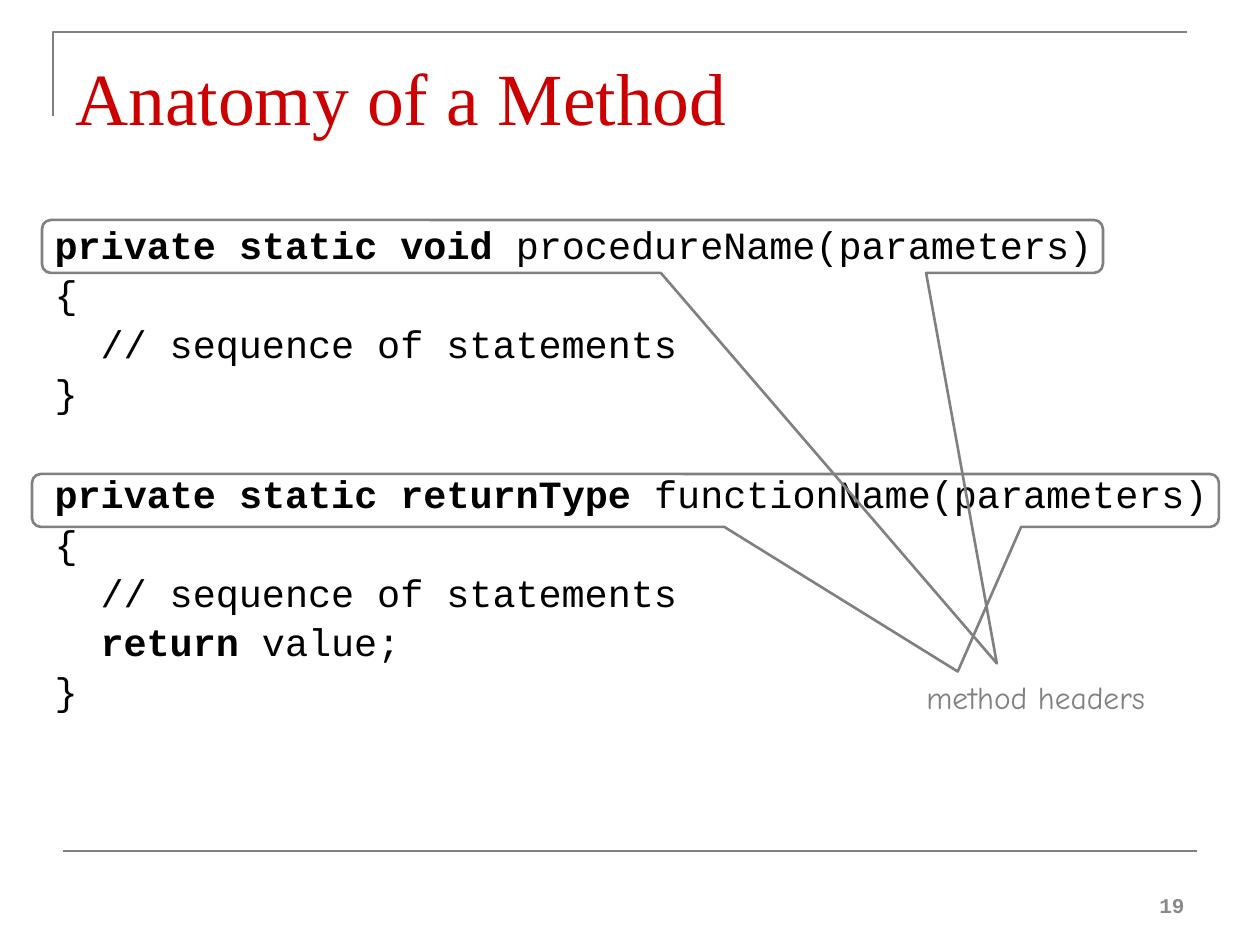
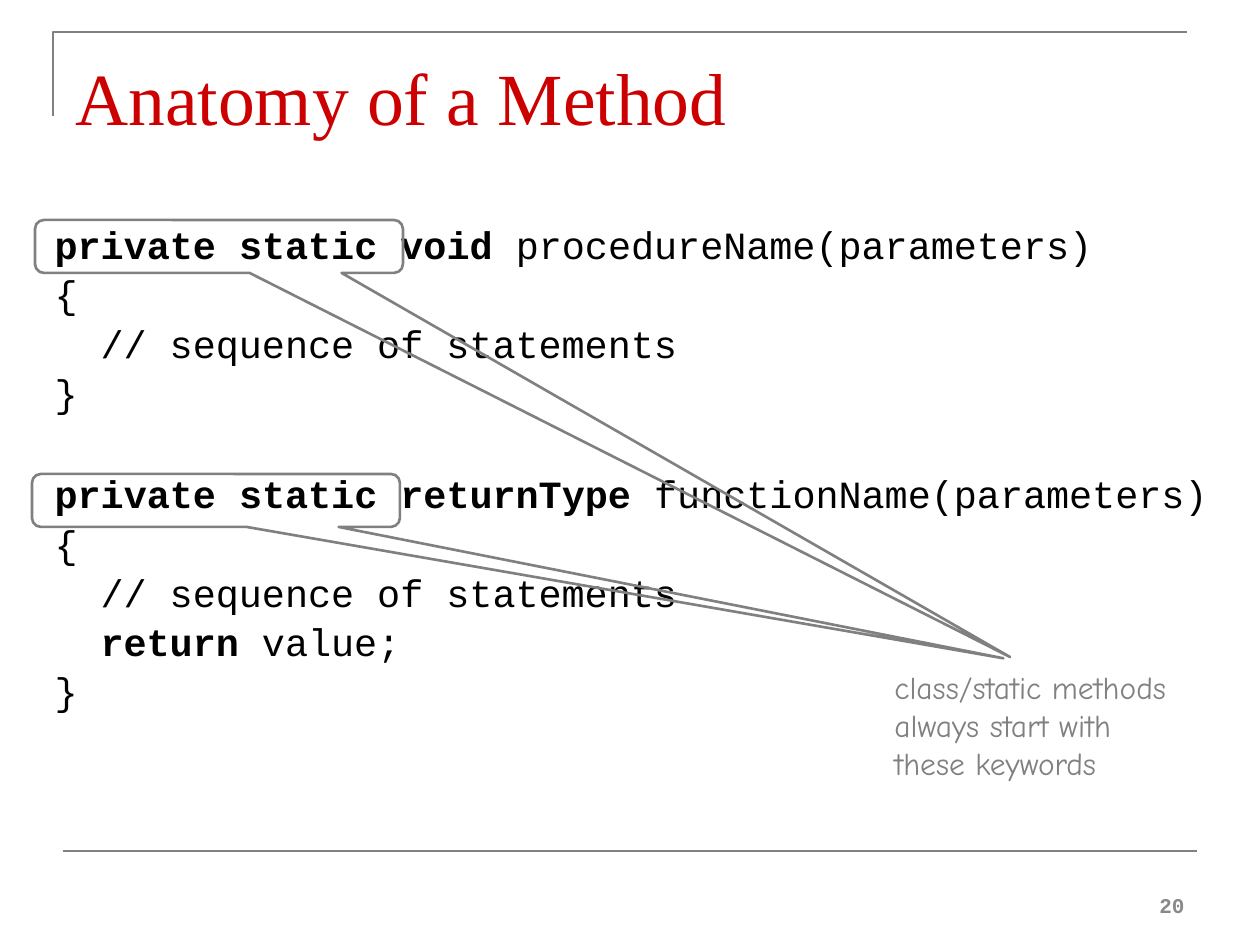
import pptx
import pptx.util
import pptx.dml.color
import pptx.enum.shapes
import pptx.enum.text
import pptx.oxml
import pptx.oxml.ns

PIXEL = 914400 // 126
COLORS = {"title": "CC0000", "code": "000000", "frame": "808080", "number": "898989"}
STYLES = {
    "title": {"name": "Times New Roman", "size": 42, "bold": False},
    "code": {"name": "Courier New", "size": 22, "bold": False},
    "frame": {"name": "Comic Neue", "size": 18, "bold": False},
    "number": {"name": "Courier New", "size": 12, "bold": True},
}
ANCHOR = pptx.enum.text.MSO_ANCHOR
ALIGN = pptx.enum.text.PP_ALIGN
FIT = pptx.enum.text.MSO_AUTO_SIZE

# Code lines: indent level, then (text, bold) pieces
COMMENT = (1, [("// sequence of statements", False)])
OPEN, CLOSE = (0, [("{", False)]), (0, [("}", False)])
PROCEDURE = [
    (0, [("private static void ", True), ("procedureName(parameters)", False)]),
    OPEN, COMMENT, CLOSE,
]
FUNCTION = [
    (0, [("private static returnType ", True), ("functionName(parameters)", False)]),
    OPEN, COMMENT, (1, [("return", True), (" value;", False)]), CLOSE,
]

# Callouts: left, top, width, then the pointer's two adjustments
SLIDES = [
    {"number": "19", "note": ["method headers"], "note_box": (914, 672, 263, 50),
     "callouts": [(42, 220, 1061, 0.4, 7.87), (32, 474, 1187, 0.28, 3.23)]},
    {"number": "20",
     "note": ["class/static methods", "always start with", "these keywords"],
     "note_box": (882, 662, 334, 126),
     "callouts": [(35, 220, 368, 2.15, 7.75), (32, 474, 368, 2.14, 2.98)]},
]


def add_run(paragraph, text, style, **changes):
    run = paragraph.add_run()
    run.text = text
    for key, value in {**STYLES[style], **changes}.items():
        setattr(run.font, key, pptx.util.Pt(value) if key == "size" else value)
    run.font.color.rgb = pptx.dml.color.RGBColor.from_string(COLORS[style])


def draw_outline(line):
    line.color.rgb = pptx.dml.color.RGBColor.from_string(COLORS["frame"])
    line.width = pptx.util.Pt(1.5)


deck = pptx.Presentation()
deck.slide_width, deck.slide_height = pptx.util.Inches(10), pptx.util.Inches(7.5)

for content in SLIDES:
    slide = deck.slides.add_slide(deck.slide_layouts[1])
    shapes = slide.shapes

    # Corner bracket and footer rule
    builder = shapes.build_freeform(53, 116, scale=PIXEL)
    builder.add_line_segments([(53, 32), (1187, 32)], close=False)
    bracket = builder.convert_to_shape()
    bracket.shadow.inherit = False
    bracket.fill.background()
    draw_outline(bracket.line)
    rule = shapes.add_connector(
        pptx.enum.shapes.MSO_CONNECTOR.STRAIGHT,
        *[PIXEL * n for n in (63, 851, 1197, 851)])
    draw_outline(rule.line)
    rule.element.spPr.append(pptx.oxml.parse_xml(
        "<a:effectLst %s/>" % pptx.oxml.ns.nsdecls("a")))

    # Title, code, page number and note share one placing rule
    heading, code = shapes.title, slide.placeholders[1]
    number, note = (shapes.add_textbox(0, 0, 0, 0) for _ in range(2))
    for part, box, frame_format in [
        (heading, (63, 38, 1134, 157), {"margin_top": PIXEL * 14}),
        (code, (42, 220, 1197, 620), {}),
        (number, (903, 861, 294, 63), {"vertical_anchor": ANCHOR.BOTTOM}),
        (note, content["note_box"],
         {"word_wrap": False, "auto_size": FIT.SHAPE_TO_FIT_TEXT}),
    ]:
        part.left, part.top, part.width, part.height = [PIXEL * n for n in box]
        defaults = {"word_wrap": True, "auto_size": FIT.NONE, "vertical_anchor": ANCHOR.TOP}
        for key, value in {**defaults, **frame_format}.items():
            setattr(part.text_frame, key, value)

    heading_line = heading.text_frame.paragraphs[0]
    heading_line.alignment = ALIGN.LEFT
    add_run(heading_line, "Anatomy of a Method", "title")

    number_line = number.text_frame.paragraphs[0]
    number_line.alignment = ALIGN.RIGHT
    add_run(number_line, content["number"], "number")

    for index, text in enumerate(content["note"]):
        frame = note.text_frame
        add_run(frame.add_paragraph() if index else frame.paragraphs[0], text, "frame")

    # The two methods, parted by the space above the second header
    for index, (level, pieces) in enumerate(PROCEDURE + FUNCTION):
        frame = code.text_frame
        line = frame.add_paragraph() if index else frame.paragraphs[0]
        line.line_spacing = 0.9
        properties = line._p.get_or_add_pPr()
        properties.set("marL", str(PIXEL * (46 if level else 48)))
        properties.set("indent", str(0 if level else -PIXEL * 48))
        if index == len(PROCEDURE):
            line.space_before = pptx.util.Pt(34.2)
        else:
            properties.append(pptx.oxml.parse_xml(
                '<a:spcBef %s><a:spcPct val="20000"/></a:spcBef>'
                % pptx.oxml.ns.nsdecls("a")))
        properties.append(pptx.oxml.parse_xml(
            "<a:buNone %s/>" % pptx.oxml.ns.nsdecls("a")))
        for text, bold in pieces:
            add_run(line, text, "code", bold=bold)

    # Callouts around the headers
    for left, top, width, across, down in content["callouts"]:
        callout = shapes.add_shape(
            pptx.enum.shapes.MSO_SHAPE.ROUNDED_RECTANGULAR_CALLOUT,
            *[PIXEL * n for n in (left, top, width, 53)])
        callout.shadow.inherit = False
        callout.fill.background()
        draw_outline(callout.line)
        for index, value in enumerate((across, down, 0.17)):
            callout.adjustments[index] = value

deck.save("out.pptx")
